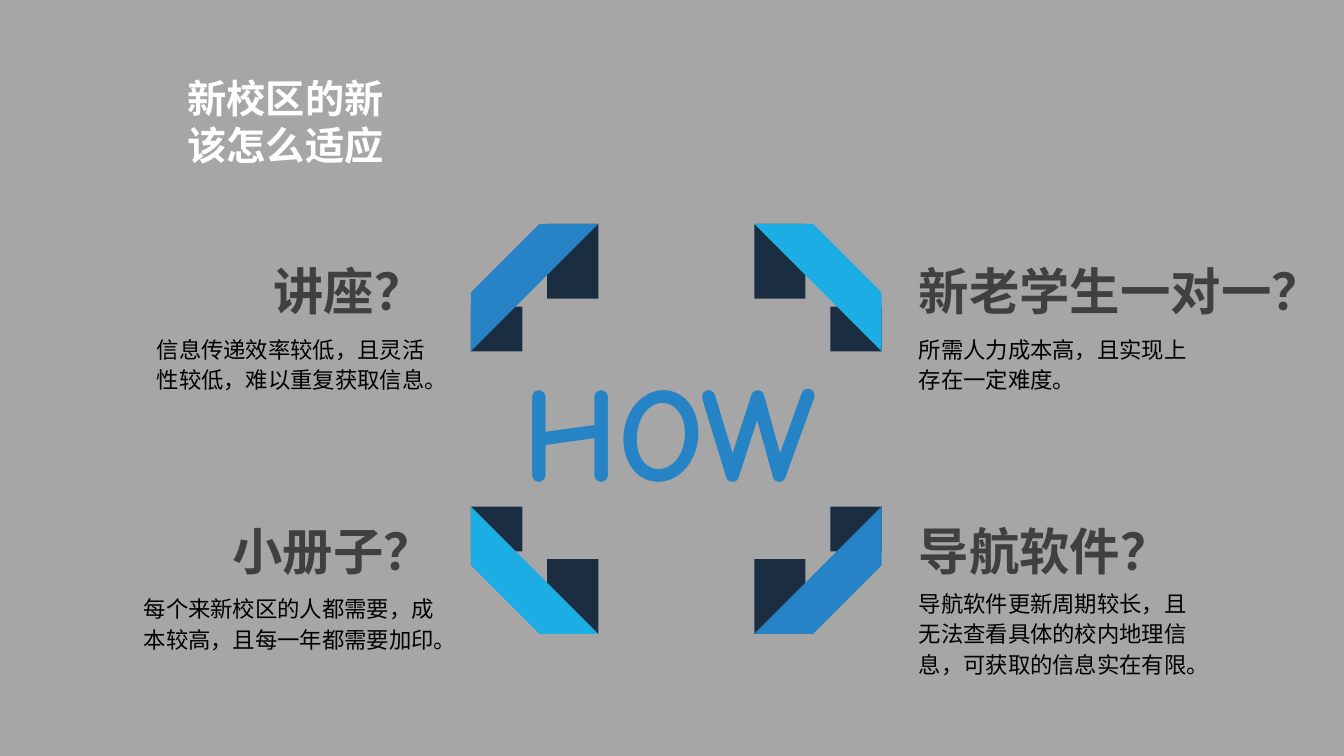
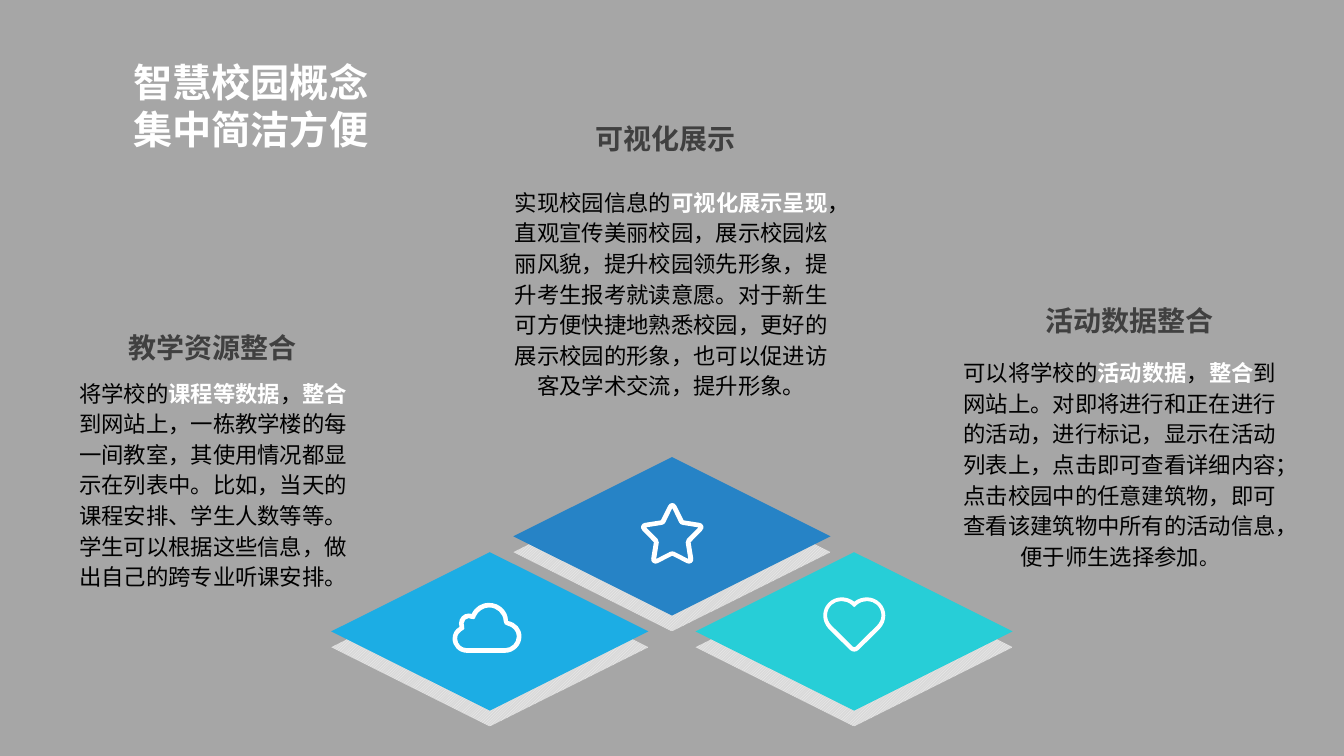
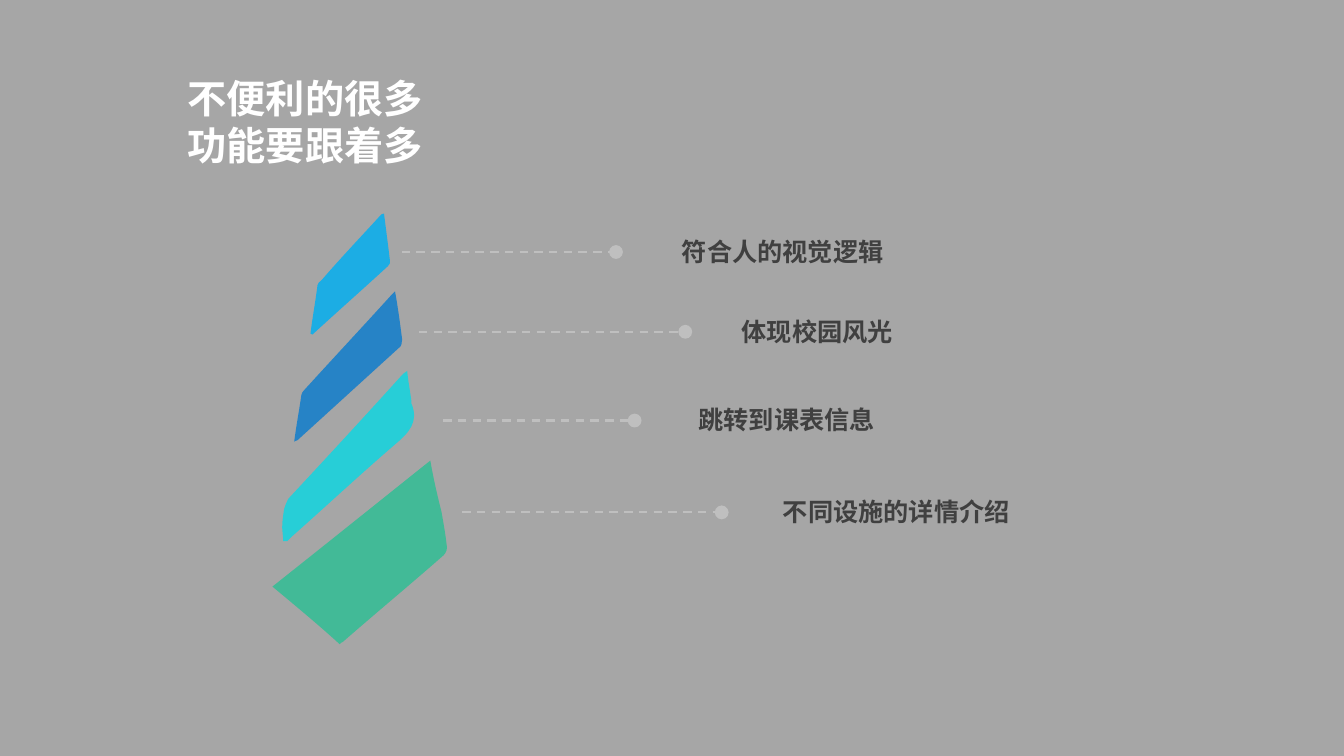
"""Build three slides on campus guidance: options, concept and features."""
from dataclasses import dataclass
from itertools import product

from lxml.etree import SubElement
from pptx import Presentation
from pptx.dml.color import RGBColor
from pptx.enum.dml import MSO_LINE, MSO_PATTERN
from pptx.enum.shapes import MSO_CONNECTOR, MSO_SHAPE
from pptx.enum.text import MSO_AUTO_SIZE, PP_ALIGN
from pptx.oxml.ns import qn
from pptx.shapes.base import BaseShape
from pptx.slide import Slide
from pptx.util import Pt

Point = tuple[float, float]


@dataclass(frozen=True)
class Theme:
    page: str = "A6A6A6"
    white: str = "FFFFFF"
    black: str = "000000"
    heading: str = "404040"
    navy: str = "1B2D40"
    sky: str = "1CADE4"
    blue: str = "2683C6"
    teal: str = "27CED7"
    green: str = "42BA97"
    guide: str = "BFBFBF"
    pattern_front: str = "F2F2F2"
    pattern_back: str = "D9D9D9"
    font: str = "TeX Gyre Adventor"
    detail_font: str = "Calibri"
    display_font: str = "Comic Neue"
    display_size: float = 96
    option_size: float = 36
    title_size: float = 28
    concept_size: float = 20
    feature_size: float = 18
    body_size: float = 16
    closing_size: float = 14
    body_spacing: float = 1.14


THEME = Theme()


@dataclass(frozen=True)
class Style:
    size: float
    color: str
    bold: bool = True
    font: str = THEME.font
    spacing: float | None = None


TITLE = Style(THEME.title_size, THEME.white)
DISPLAY = Style(THEME.display_size, THEME.blue, font=THEME.display_font)
OPTION = Style(THEME.option_size, THEME.heading)
CONCEPT = Style(THEME.concept_size, THEME.heading)
FEATURE = Style(THEME.feature_size, THEME.heading)
BODY = Style(THEME.body_size, THEME.black, False, spacing=THEME.body_spacing)
DETAIL = Style(THEME.body_size, THEME.black, False, THEME.detail_font, THEME.body_spacing)


@dataclass(frozen=True)
class Label:
    text: str
    left: float
    top: float
    width: float
    height: float
    style: Style
    align: PP_ALIGN = PP_ALIGN.LEFT
    closing: str = ""


@dataclass(frozen=True)
class Tile:
    left: float
    top: float
    color: str
    icon: str
    icon_left: float
    icon_top: float


@dataclass(frozen=True)
class Feature:
    text: str
    text_left: float
    text_width: float
    middle: float
    line_start: float
    line_end: float
    color: str
    outline: str


STAR = (
    "M 44.5 16.5 C 44 15.1 43.2 14.4 42 14.2 L 30.4 12.4 L 25.2 2 C 24.6 .7 23.5 0 22.3 0 "
    "C 21.1 0 20 .7 19.4 2 L 14.2 12.4 L 2.6 14.2 C 1.4 14.4 .6 15.1 .1 16.5 "
    "C -.2 17.5 .2 18.7 1 19.6 L 9.2 28 L 7.3 39.6 C 7.1 41 7.6 42 8.5 42.7 "
    "C 9.6 43.5 10.8 43.5 12 42.9 L 22.3 37.6 L 32.6 42.9 C 33.8 43.5 35 43.5 36.1 42.7 "
    "C 37 42 37.5 41 37.3 39.6 L 35.4 28 L 43.6 19.6 C 44.4 18.7 44.8 17.5 44.5 16.5 "
    "M 32.7 25.8 C 32 26.5 31.7 27.3 31.9 28.2 L 33.8 40 L 23.9 34.9 "
    "C 22.9 34.4 21.7 34.4 20.7 34.9 L 10.8 40 L 12.7 28.2 C 12.9 27.3 12.6 26.5 11.9 25.8 "
    "L 3.6 17.4 L 15 15.6 C 16.1 15.4 17 14.8 17.4 13.8 L 22.3 3.6 L 27.2 13.8 "
    "C 27.6 14.8 28.5 15.4 29.6 15.6 L 41 17.4"
)
CLOUD = (
    "M 39.6 13 C 39.6 5.8 33.5 0 26 0 C 20.5 0 16 3 13.7 7.9 C 13 7.7 12.2 7.6 11.5 7.6 "
    "C 7.7 7.6 4.6 10.9 4.6 14.8 C 4.6 15.6 4.8 16.4 5 17.2 C 2 18.7 0 22 0 25.6 "
    "C 0 31 4.4 35.6 10.1 35.7 L 37.4 35.7 C 43.9 35.7 49.2 30.4 49.2 23.9 "
    "C 49.2 18.4 45.2 14 39.6 13 "
    "M 37.4 32.4 L 10.1 32.4 C 6.5 32.4 3.3 29.5 3.3 25.6 C 3.3 23 4.6 21 6.5 20 "
    "C 8.6 19 8.9 18 8.2 16.2 C 8 15.7 7.9 15.2 7.9 14.8 C 7.9 12.7 9.6 10.9 11.5 10.9 "
    "C 12.2 10.9 12.9 11.1 13.5 11.5 C 15 12.3 16 11.7 16.6 9.5 C 18.2 6 22 3.3 26 3.3 "
    "C 31.6 3.3 36.2 7.4 36.5 13 C 36.8 15.2 37.4 15.8 39.2 16.2 "
    "C 43 17 45.9 20.2 45.9 23.9 C 45.9 28.7 42.1 32.4 37.4 32.4"
)
HEART = (
    "M 41.8 5.1 C 36.8 0 28.8 0 23.4 4.3 C 18 0 10 0 5 5.1 C 0 10.1 0 18.1 5 23.5 "
    "L 20.2 38.6 C 22.2 40.4 24.6 40.4 26.6 38.6 L 41.8 23.5 C 46.8 18.1 46.8 10.1 41.8 5.1 "
    "M 39.6 21.4 L 24.4 36.4 C 23.8 37 23 37 22.4 36.4 L 7.2 21.4 "
    "C 2.9 17.1 2.9 10.8 7.2 6.5 C 11 2.9 17.3 2.9 21.5 6.5 L 23.4 8.2 L 25.3 6.5 "
    "C 29.5 2.9 35.8 2.9 39.6 6.5 C 43.9 10.8 43.9 17.1 39.6 21.4"
)

OPTION_LABELS = (
    Label("新校区的新\n该怎么适应", 127, 49.4, 330, 75, TITLE),
    Label("HOW", 366.1, 244.4, 283, 124, DISPLAY),
    Label("新老学生一对一？", 649.2, 182, 289, 51, OPTION),
    Label("所需人力成本高，且实现上存在一定难度。", 649.2, 233.7, 219.6, 50, BODY),
    Label("讲座？", 142.6, 182, 167.8, 51, OPTION, PP_ALIGN.RIGHT),
    Label("信息传递效率较低，且灵活性较低，难以重复获取信息。",
          90.9, 233.7, 219.6, 50, BODY, PP_ALIGN.RIGHT),
    Label("导航软件？", 649.2, 368, 167.8, 51, OPTION),
    Label("导航软件更新周期较长，且无法查看具体的校内地理信息，可获取的信息实在有限。",
          649.2, 415.2, 219.6, 72, BODY),
    Label("小册子？", 149.4, 368, 167.8, 51, OPTION, PP_ALIGN.RIGHT),
    Label("每个来新校区的人都需要，成本较高，且每一年都需要加印。",
          91.2, 419, 226, 50, BODY, PP_ALIGN.RIGHT),
)

CONCEPT_LABELS = (
    Label("教学资源整合", 47.2, 232.5, 209.5, 32, CONCEPT, PP_ALIGN.CENTER),
    Label("将学校的|课程等数据|，|整合|到网站上，一栋教学楼的每一间教室，其使用情况都显示在列表中。"
          "比如，当天的课程安排、学生人数等等。学生可以根据这些信息，做出自己的跨专业听课安排。",
          47.5, 265, 209.5, 160.5, DETAIL, PP_ALIGN.CENTER),
    Label("活动数据整合", 705, 213.5, 203.5, 32, CONCEPT, PP_ALIGN.CENTER),
    Label("可以将学校的|活动数据|，|整合|到网站上。对即将进行和正在进行的活动，进行标记，"
          "显示在活动列表上，点击即可查看详细内容；点击校园中的任意建筑物，"
          "即可查看该建筑物中所有的活动信息，便于师生选择参加",
          676.8, 250.5, 246.2, 160.5, DETAIL, PP_ALIGN.CENTER, "。"),
    Label("可视化展示", 391.7, 83.5, 167.8, 32, CONCEPT, PP_ALIGN.CENTER),
    Label("实现校园信息的|可视化展示呈现|，直观宣传美丽校园，展示校园炫丽风貌，提升校园领先形象，"
          "提升考生报考就读意愿。对于新生可方便快捷地熟悉校园，更好的展示校园的形象，"
          "也可以促进访客及学术交流，提升形象。",
          353.2, 128.8, 252.7, 160.5, DETAIL, PP_ALIGN.CENTER),
    Label("智慧校园概念\n集中简洁方便", 88.2, 38, 330, 75, TITLE),
)

TILES = (
    Tile(236.6, 394.4, THEME.sky, CLOUD, 323.3, 430.6),
    Tile(366.7, 326.5, THEME.blue, STAR, 457.9, 359.3),
    Tile(496.8, 394.4, THEME.teal, HEART, 586.8, 425.5),
)

FEATURES = (
    Feature("符合人的视觉逻辑", 480, 168, 180, 287, 440, THEME.sky,
            "M 221.8 238.3 C 223.2 226.8 225.4 215.3 226.8 203.8 C 226.8 203 228.2 200.9 229.7 200.2 "
            "C 243.4 184.3 257.8 169.2 272.2 153.4 C 272.2 153.4 272.9 152.6 274.3 152.6 "
            "C 275.8 164.2 277.2 175 278.6 186.5 C 278.6 187.2 278.6 189.4 277.2 190.1 "
            "C 259.2 206.6 241.2 222.5 223.2 239 C 222.5 239 222.5 239 221.8 238.3"),
    Feature("体现校园风光", 522.7, 168, 237, 299.2, 489.5, THEME.blue,
            "M 282.2 208.1 C 284.4 220.3 285.8 231.1 287.3 242.6 C 287.3 244.8 286.6 247.7 285.1 248.4 "
            "C 260.6 270.7 236.9 292.3 212.4 314.6 C 212.4 314.6 211.7 314.6 210.2 315.4 "
            "C 211.7 303.8 213.8 293 215.3 282.2 C 215.3 280.8 216.7 279.4 217.4 278.6 "
            "C 238.3 255.6 259.2 233.3 280.1 210.2 C 280.8 209.5 280.8 209.5 282.2 208.1"),
    Feature("跳转到课表信息", 491.9, 168, 300.4, 316.6, 453.3, THEME.teal,
            "M 202.3 386.6 C 202.3 383 201.6 379.4 201.6 376.6 C 201.6 372.2 202.3 367.9 203 363.6 "
            "C 203.8 361.4 204.5 358.6 205.9 356.4 C 233.3 326.9 260.6 297.4 287.3 267.8 "
            "C 288 267.1 288.7 266.4 290.9 265 C 291.6 272.9 293 279.4 293.8 285.8 "
            "C 293.8 286.6 293.8 287.3 293.8 288 C 299.5 301 292.3 308.9 283 316.8 "
            "C 257.8 338.4 234 360.7 208.8 383 C 207.4 384.5 206.6 385.2 205.2 386.6 "
            "C 204.5 386.6 203.8 386.6 202.3 386.6"),
    Feature("不同设施的详情介绍", 552.1, 189.5, 366, 330.2, 515.5, THEME.green,
            "M 242.6 460.1 C 226.8 445.7 211 432.7 194.6 419 C 231.8 389.5 268.6 360 307.4 329 "
            "C 309.6 342 312.5 354.2 315.4 365.8 C 316.8 373.7 318.2 381.6 319 388.8 "
            "C 319.7 391.7 319 394.6 316.8 396.7 C 293 417.6 268.6 437.8 244.8 458.6 "
            "C 244.1 458.6 243.4 459.4 242.6 460.1"),
)


def rgb(color: str) -> RGBColor:
    """Turn a hex colour into an RGBColor."""
    return RGBColor.from_string(color)


def paint(shape: BaseShape, color: str) -> None:
    """Give a shape a plain fill without line or shadow."""
    shape.shadow.inherit = False
    shape.fill.solid()
    shape.fill.fore_color.rgb = rgb(color)
    shape.line.fill.background()


def add_page(deck: Presentation) -> Slide:
    """Add a blank slide with the shared background."""
    page = deck.slides.add_slide(deck.slide_layouts[6])
    page.background.fill.solid()
    page.background.fill.fore_color.rgb = rgb(THEME.page)
    return page


def add_label(page: Slide, label: Label) -> None:
    """Add a text box; parts between bars are emphasised in white."""
    box = page.shapes.add_textbox(*map(Pt, (label.left, label.top, label.width, label.height)))
    frame = box.text_frame
    frame.word_wrap = True
    frame.auto_size = MSO_AUTO_SIZE.SHAPE_TO_FIT_TEXT
    style = label.style
    first_part, *parts = label.text.split("|")
    frame.text = first_part
    for part in parts:
        frame.paragraphs[0].add_run().text = part
    for para in frame.paragraphs:
        para.alignment = label.align
        para.line_spacing = style.spacing
        for index, span in enumerate(para.runs):
            strong = index % 2 == 1
            span.font.name = style.font
            span.font.size = Pt(style.size)
            span.font.bold = style.bold or strong
            span.font.color.rgb = rgb(THEME.white if strong else style.color)
    if label.closing:
        span = frame.paragraphs[0].add_run()
        span.text = label.closing
        span.font.name = style.font
        span.font.size = Pt(THEME.closing_size)
        span.font.color.rgb = rgb(style.color)


def add_outline(page: Slide, outline: str, color: str, left: float = 0, top: float = 0) -> None:
    """Draw an outline of M, L and C commands as one filled freeform."""
    contours: list[list[Point]] = []
    kinds = ""
    for command in outline.replace("M", ";M").replace("L", ";L").replace("C", ";C").split(";")[1:]:
        numbers = [float(number) for number in command[1:].split()]
        points = [(Pt(left + x), Pt(top + y)) for x, y in zip(numbers[::2], numbers[1::2])]
        if command[0] == "M":
            contours.append(points)
        else:
            kinds += command[0]
            contours[-1].extend(points)
    builder = page.shapes.build_freeform(*contours[0][0])
    for index, contour in enumerate(contours):
        if index:
            builder.move_to(*contour[0])
        builder.add_line_segments(contour[1:], close=True)
    shape = builder.convert_to_shape()
    bend(shape, kinds)
    paint(shape, color)


def bend(shape: BaseShape, kinds: str) -> None:
    """Join each three segments that belong to a curve into a cubic one."""
    segments = iter(list(shape.element.iter(qn("a:lnTo"))))
    for kind in kinds:
        segment = next(segments)
        if kind == "C":
            segment.tag = qn("a:cubicBezTo")
            for follower in (next(segments), next(segments)):
                segment.append(follower[0])
                follower.getparent().remove(follower)


def add_corner(page: Slide, side: int, level: int) -> None:
    """Draw one folded corner of the frame, mirrored about its centre."""
    def place(across: float, down: float) -> Point:
        return 483.1 + side * (146.7 - across), 306.4 + level * (146.4 - down)

    for across, down, width, height in ((0, 59, 36.7, 32), (54.5, 0, 36.5, 53.3)):
        near, far = place(across, down), place(across + width, down + height)
        block = page.shapes.add_shape(MSO_SHAPE.RECTANGLE, Pt(min(near[0], far[0])),
                                      Pt(min(near[1], far[1])), Pt(width), Pt(height))
        paint(block, THEME.navy)
    corners = (place(*point) for point in ((91, 0), (0, 91), (0, 49), (49, 0), (91, 0)))
    band = " L ".join(f"{x:.2f} {y:.2f}" for x, y in corners)
    add_outline(page, f"M {band}", THEME.blue if side == level else THEME.sky)


def add_tile(page: Slide, tile: Tile) -> None:
    """Draw a diamond above its patterned base."""
    base, face = (page.shapes.add_shape(MSO_SHAPE.DIAMOND, Pt(tile.left), Pt(tile.top + drop),
                                        Pt(226.6), Pt(113.2)) for drop in (11.3, 0))
    paint(base, THEME.pattern_back)
    base.fill.patterned()
    base.fill.pattern = MSO_PATTERN.LIGHT_UPWARD_DIAGONAL
    base.fill.fore_color.rgb = rgb(THEME.pattern_front)
    base.fill.back_color.rgb = rgb(THEME.pattern_back)
    paint(face, tile.color)


def add_guide(page: Slide, feature: Feature) -> None:
    """Draw a dashed guide ending in a dot."""
    guide = page.shapes.add_connector(MSO_CONNECTOR.STRAIGHT, Pt(feature.line_start),
                                      Pt(feature.middle), Pt(feature.line_end), Pt(feature.middle))
    guide.line.color.rgb = rgb(THEME.guide)
    guide.line.width = Pt(1.5)
    guide.line.dash_style = MSO_LINE.DASH
    properties = guide.element.spPr
    SubElement(properties.find(qn("a:ln")), qn("a:tailEnd"), type="oval", w="lg", len="lg")
    SubElement(properties, qn("a:effectLst"))


def build_options(deck: Presentation) -> None:
    """Compare four ways to learn the new campus."""
    page = add_page(deck)
    for level, side in product((1, -1), (-1, 1)):
        add_corner(page, side, level)
    for label in OPTION_LABELS:
        add_label(page, label)


def build_concept(deck: Presentation) -> None:
    """Present the three parts of the campus concept."""
    page = add_page(deck)
    for tile in TILES:
        add_tile(page, tile)
    for tile in TILES:
        add_outline(page, tile.icon, THEME.white, tile.icon_left, tile.icon_top)
    for label in CONCEPT_LABELS:
        add_label(page, label)


def build_features(deck: Presentation) -> None:
    """List the features beside the ribbon tower."""
    page = add_page(deck)
    add_label(page, Label("不便利的很多\n功能要跟着多", 127, 49.4, 330, 75, TITLE))
    for feature in FEATURES:
        add_outline(page, feature.outline, feature.color)
        add_guide(page, feature)
        add_label(page, Label(feature.text, feature.text_left, feature.middle - 14.8,
                              feature.text_width, 29, FEATURE))


def main() -> None:
    """Build and save the deck."""
    deck = Presentation()
    deck.slide_width, deck.slide_height = Pt(960), Pt(540)
    for build in (build_options, build_concept, build_features):
        build(deck)
    deck.save("out.pptx")


if __name__ == "__main__":
    main()
